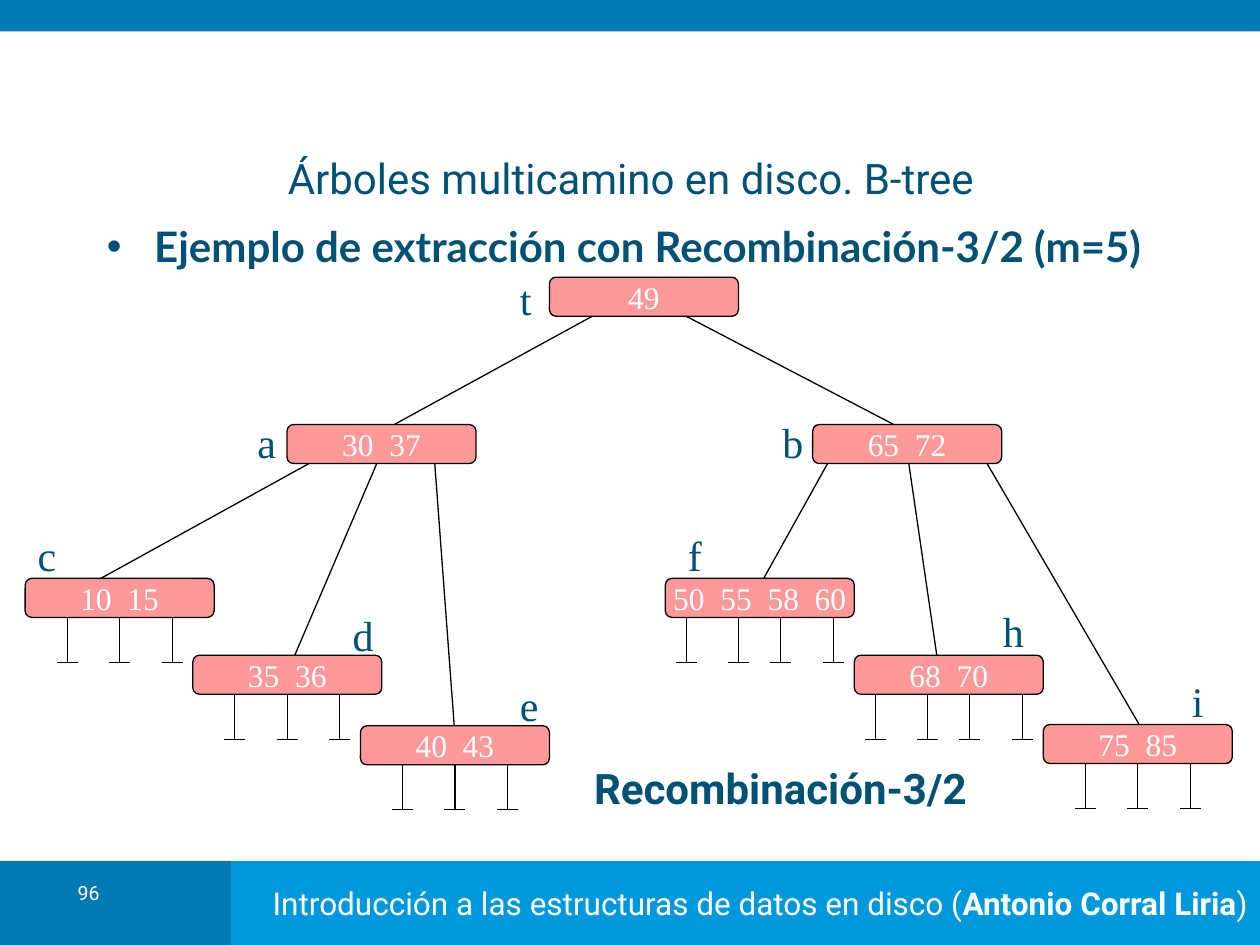
from lxml.etree import SubElement
from pptx import Presentation
from pptx.dml.color import RGBColor as RGB
from pptx.enum.shapes import MSO_CONNECTOR as LINK, MSO_SHAPE as SHAPE
from pptx.enum.text import MSO_ANCHOR as ANCHOR, PP_ALIGN as ALIGN
from pptx.oxml.ns import qn
from pptx.util import Pt

HEX = {"dark": "007AB1", "light": "0098DC", "ink": "005176",
       "node": "FF9999", "line": "000000", "white": "FFFFFF"}
SERIF = "Times New Roman"
NODE_W, NODE_H = 108, 22.3
EXIT = 16  # depth inside a node where its branches start
THREE, FOUR = (24, 54, 84), (12, 42, 66, 96)

# name: left, top, keys, label left, label top, leaf stub offsets
NODES = {
    "t": (314, 158.4, (49,), 290, 152.6, ()),
    "a": (164, 242.6, (30, 37), 140, 234.7, ()),
    "b": (464.4, 242.6, (65, 72), 440, 234.7, ()),
    "c": (14.4, 330.5, (10, 15), 14.4, 298.8, THREE),
    "d": (110.2, 374.4, (35, 36), 194.4, 344.9, THREE),
    "e": (206, 414.7, (40, 43), 290, 384.5, THREE),
    "f": (380.2, 330.5, (50, 55, 58, 60), 386, 298.8, FOUR),
    "h": (488.2, 374.4, (68, 70), 566, 342.7, FOUR),
    "i": (596.2, 414, (75, 85), 674, 382.3, THREE),
}

# parent, offset along it, child, offset along it, depth inside it
EDGES = [
    ("t", 36, "a", 54, 4), ("t", 66, "b", 54, 4),
    ("a", 24, "c", 36, 4), ("a", 54, "d", 54, 10), ("a", 84, "e", 54, 6),
    ("b", 12, "f", 54, 4), ("b", 54, "h", 48, 6), ("b", 96, "i", 60, 9),
]


def color(name):
    return RGB.from_string(HEX[name])


def write(shape, runs, size, face, hue, align=ALIGN.LEFT,
          anchor=ANCHOR.TOP, wrap=True):
    """Fill the first paragraph from (text, bold) runs and return it."""
    frame = shape.text_frame
    frame.word_wrap = wrap
    frame.vertical_anchor = anchor
    para = frame.paragraphs[0]
    para.alignment = align
    for text, bold in runs:
        run = para.add_run()
        run.text = text
        look = {"size": Pt(size), "name": face, "bold": bold}
        for key, val in look.items():
            setattr(run.font, key, val)
        run.font.color.rgb = color(hue)
    return para


def add_text(shapes, left, top, width, height, *args, **look):
    box = shapes.add_textbox(Pt(left), Pt(top), Pt(width), Pt(height))
    return write(box, *args, **look)


def add_box(shapes, kind, left, top, width, height, fill):
    box = shapes.add_shape(kind, Pt(left), Pt(top), Pt(width), Pt(height))
    box.shadow.inherit = False
    box.fill.solid()
    box.fill.fore_color.rgb = color(fill)
    box.line.fill.background()
    return box


def add_line(shapes, *ends):
    link = shapes.add_connector(LINK.STRAIGHT, *map(Pt, ends))
    link.line.width = Pt(0.75)
    link.line.color.rgb = color("line")
    SubElement(link._element.spPr, qn("a:effectLst"))


def add_stub(shapes, x, top):
    """Draw a leaf pointer: a stem with a short foot."""
    foot = top + 48
    add_line(shapes, x, top + 18, x, foot)
    add_line(shapes, x - 6, foot, x + 6, foot)


def add_node(shapes, left, top, keys):
    box = add_box(shapes, SHAPE.ROUNDED_RECTANGLE, left, top,
                  NODE_W, NODE_H, "node")
    box.adjustments[0] = 0.17
    box.line.width = Pt(0.75)
    box.line.color.rgb = color("line")
    write(box, [("  ".join(map(str, keys)), False)], 18, SERIF, "white",
          align=ALIGN.CENTER, anchor=ANCHOR.MIDDLE, wrap=False)


def add_bullet(para, indent):
    props = para._p.get_or_add_pPr()
    props.set("marL", str(Pt(indent)))
    props.set("indent", str(-Pt(indent)))
    tint = SubElement(props, qn("a:buClr"))
    SubElement(tint, qn("a:srgbClr"), val=HEX["ink"])
    SubElement(props, qn("a:buFont"), typeface="Arial")
    SubElement(props, qn("a:buChar"), char="•")


def add_frame(shapes):
    """Draw the top band, the footer and the slide number."""
    add_box(shapes, SHAPE.RECTANGLE, 0, 492, 132, 48, "dark")
    foot = add_box(shapes, SHAPE.RECTANGLE, 114, 492, 606, 48, "light")
    write(foot, [("Introducción a las estructuras de datos en disco (", False),
                 ("Antonio Corral Liria", True), (")", False)],
          18, "Roboto", "white", align=ALIGN.RIGHT,
          anchor=ANCHOR.MIDDLE, wrap=False)
    # The dark block stays visible over the left end of the footer.
    shapes._spTree.append(shapes[0]._element)
    add_box(shapes, SHAPE.RECTANGLE, 0, 0, 720, 18, "dark")
    para = add_text(shapes, 25.2, 502.6, 51, 23, [("96", False)],
                    11.2, "Roboto", "white", align=ALIGN.CENTER)
    para.line_spacing = 0.8


def add_tree(shapes):
    for left, top, _, _, _, stubs in NODES.values():
        for shift in stubs:
            add_stub(shapes, left + shift, top)
    for up, out, down, into, depth in EDGES:
        x1, y1 = NODES[up][:2]
        x2, y2 = NODES[down][:2]
        add_line(shapes, x1 + out, y1 + EXIT, x2 + into, y2 + depth)
    for name, (left, top, keys, tag_x, tag_y, _) in NODES.items():
        add_text(shapes, tag_x, tag_y, 24, 36, [(name, False)],
                 24, SERIF, "ink")
        add_node(shapes, left, top, keys)


def main():
    deck = Presentation()
    deck.slide_width, deck.slide_height = Pt(720), Pt(540)
    shapes = deck.slides.add_slide(deck.slide_layouts[6]).shapes
    add_frame(shapes)
    mid = {"align": ALIGN.CENTER, "anchor": ANCHOR.MIDDLE}
    add_text(shapes, 60, 86.4, 601, 30,
             [("Árboles multicamino en disco. B-tree", False)],
             24, "Roboto", "ink", **mid)
    para = add_text(shapes, 54, 122.4, 652, 36,
                    [("Ejemplo de extracción con Recombinación-3/2 (m=5)",
                      True)], 24, "Lato", "ink")
    add_bullet(para, 27)
    add_tree(shapes)
    add_text(shapes, 326, 417.6, 240, 65, [("Recombinación-3/2", True)],
             24, "Roboto", "ink", **mid)
    deck.save("out.pptx")


if __name__ == "__main__":
    main()
